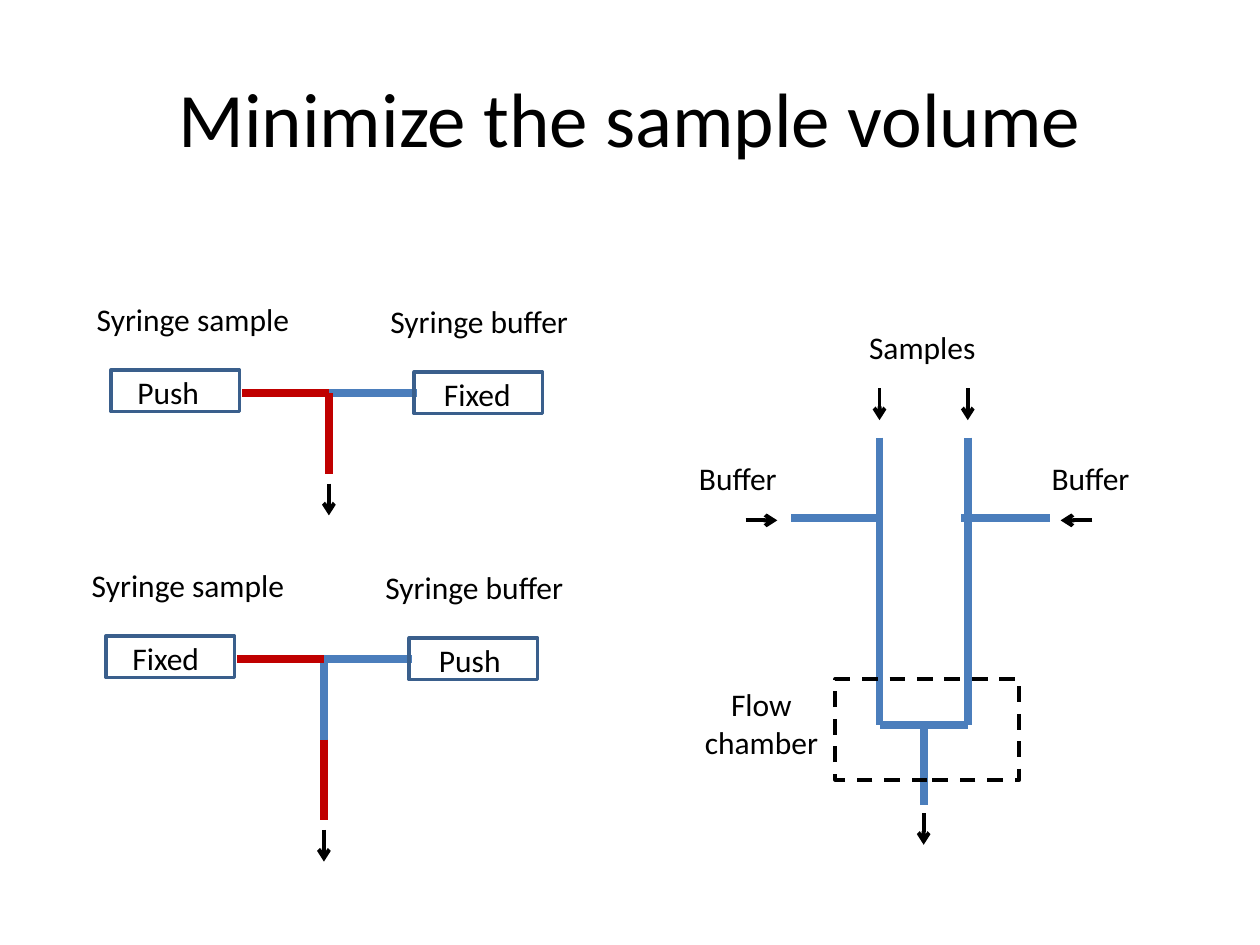
from dataclasses import dataclass

from lxml import etree
from pptx import Presentation
from pptx.dml.color import RGBColor
from pptx.enum.dml import MSO_LINE
from pptx.enum.shapes import MSO_CONNECTOR, MSO_SHAPE
from pptx.enum.text import MSO_ANCHOR, MSO_AUTO_SIZE, PP_ALIGN
from pptx.oxml.ns import qn
from pptx.util import Cm, Pt

STRAIGHT = MSO_CONNECTOR.STRAIGHT
RECTANGLE = MSO_SHAPE.RECTANGLE
DASH = MSO_LINE.DASH
MIDDLE = MSO_ANCHOR.MIDDLE
FIT_SHAPE = MSO_AUTO_SIZE.SHAPE_TO_FIT_TEXT
LEFT = PP_ALIGN.LEFT
CENTER = PP_ALIGN.CENTER


@dataclass(frozen=True)
class Theme:
    font: str = "Calibri"
    ink: RGBColor = RGBColor(0x00, 0x00, 0x00)
    buffer: RGBColor = RGBColor(0x4B, 0x7E, 0xBC)
    sample: RGBColor = RGBColor(0xC0, 0x00, 0x00)
    syringe: RGBColor = RGBColor(0x3A, 0x5F, 0x8C)
    title_size: int = 44
    label_size: int = 18
    tube_width: float = 4.5
    arrow_width: float = 2.25
    syringe_width: float = 2


THEME = Theme()
LABEL_HEIGHT = 1.02
ARROW_LENGTH = 0.64


def style_paragraph(paragraph, size, alignment):
    paragraph.alignment = alignment
    paragraph.font.name = THEME.font
    paragraph.font.size = Pt(size)
    paragraph.font.color.rgb = THEME.ink


class Region:
    def __init__(self, shapes, left, top):
        self.shapes = shapes
        self.left = left
        self.top = top

    def place(self, x, y):
        return Cm(self.left + x), Cm(self.top + y)

    def label(self, text, x, y, width, height=LABEL_HEIGHT, alignment=LEFT):
        box = self.shapes.add_textbox(*self.place(x, y), Cm(width), Cm(height))
        frame = box.text_frame
        frame.word_wrap = False
        frame.auto_size = FIT_SHAPE
        frame.text = text
        for paragraph in frame.paragraphs:
            style_paragraph(paragraph, THEME.label_size, alignment)

    def frame(self, x, y, width, height, color, line_width, dash=None):
        shape = self.shapes.add_shape(
            RECTANGLE, *self.place(x, y), Cm(width), Cm(height))
        shape.shadow.inherit = False
        shape.fill.background()
        shape.line.color.rgb = color
        shape.line.width = Pt(line_width)
        if dash:
            shape.line.dash_style = dash

    def line(self, start, end, color, width):
        connector = self.shapes.add_connector(
            STRAIGHT, *self.place(*start), *self.place(*end))
        connector.line.color.rgb = color
        connector.line.width = Pt(width)
        properties = connector.element.find(qn("p:spPr"))
        etree.SubElement(properties, qn("a:effectLst"))
        return connector

    def tube(self, start, end, color=THEME.buffer):
        self.line(start, end, color, THEME.tube_width)

    def arrow(self, x, y, across=0, down=0):
        end = (x + across * ARROW_LENGTH, y + down * ARROW_LENGTH)
        connector = self.line((x, y), end, THEME.ink, THEME.arrow_width)
        outline = connector.line._get_or_add_ln()
        etree.SubElement(outline, qn("a:tailEnd"), type="arrow")


def add_title(slide, text, left, top, width, height):
    title = slide.shapes.title
    title.left, title.top = Cm(left), Cm(top)
    title.width, title.height = Cm(width), Cm(height)
    title.text_frame.text = text
    title.text_frame.vertical_anchor = MIDDLE
    style_paragraph(title.text_frame.paragraphs[0], THEME.title_size, CENTER)


def add_syringe_pair(slide, left, top, sample_state, buffer_state, outlet_colors):
    region = Region(slide.shapes.add_group_shape().shapes, left, top)
    junction_x, tube_y, segment = 4.93, 2.01, 1.62
    state_widths = {"Push": 1.78, "Fixed": 1.88}

    region.tube((junction_x, tube_y), (6.71, tube_y))
    for index, color in enumerate(outlet_colors):
        start_y = tube_y + index * segment
        region.tube((junction_x, start_y), (junction_x, start_y + segment), color)
    region.tube((3.18, tube_y), (junction_x, tube_y), THEME.sample)

    syringes = (
        ("Syringe sample", sample_state, 0, 0, 4.45, 0.54, 0.82),
        ("Syringe buffer", buffer_state, 5.92, 0.04, 4.14, 6.65, 7),
    )
    for name, state, name_x, y, name_width, body_x, state_x in syringes:
        region.label(name, name_x, y, name_width)
        region.frame(body_x, y + 1.54, 2.59, 0.84,
                     THEME.syringe, THEME.syringe_width)
        region.label(state, state_x, y + 1.47, state_widths[state])

    outlet_y = tube_y + len(outlet_colors) * segment
    region.arrow(junction_x, outlet_y + 0.2, down=1)


def add_flow_cell(slide, left, top):
    region = Region(slide.shapes, left, top)
    channels = (3.89, 5.67)
    middle_x = sum(channels) / 2
    floor_y, branch_y = 8.13, 3.96

    region.tube((channels[0], floor_y), (channels[1], floor_y))
    region.tube((middle_x, floor_y), (middle_x, 9.75))
    region.arrow(middle_x, 9.91, down=1)
    for x in channels:
        region.tube((x, 2.34), (x, floor_y))
        region.arrow(x, 1.35, down=1)
    for x in (2.11, 5.54):
        region.tube((x, branch_y), (x + 1.78, branch_y))
    for arrow_x, direction, label_x in ((1.19, 1, 0), (8.18, -1, 7.11)):
        region.arrow(arrow_x, branch_y + 0.05, across=direction)
        region.label("Buffer", label_x, 2.64, 2.11)

    region.label("Samples", 3.43, 0, 2.69)
    region.frame(3, 7.21, 3.71, 2.03, THEME.ink, THEME.arrow_width, DASH)
    region.label("Flow\nchamber", 0.1, 7.21, 2.82, 1.8, CENTER)


def main():
    presentation = Presentation()
    presentation.slide_width, presentation.slide_height = Cm(25.4), Cm(19.05)
    slide = presentation.slides.add_slide(presentation.slide_layouts[5])

    add_title(slide, "Minimize the sample volume", 1.27, 0.76, 22.86, 3.18)
    add_syringe_pair(slide, 1.7, 5.92, "Push", "Fixed", [THEME.sample])
    add_syringe_pair(slide, 1.6, 11.28, "Fixed", "Push",
                     [THEME.buffer, THEME.sample])
    add_flow_cell(slide, 13.84, 6.48)

    presentation.save("out.pptx")


if __name__ == "__main__":
    main()
